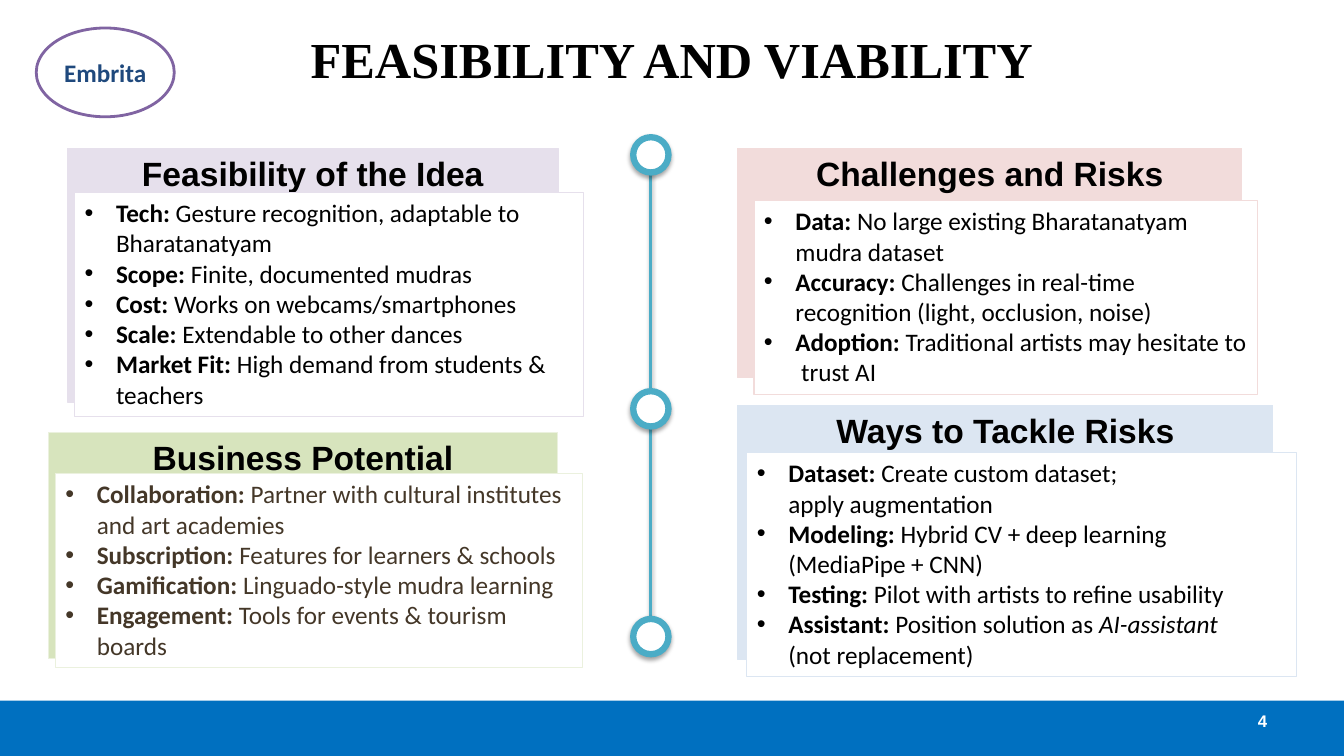
import pptx
import pptx.dml.color
import pptx.enum.shapes
import pptx.enum.text
import pptx.oxml
import pptx.oxml.ns
import pptx.util

Pt = pptx.util.Pt
Align = pptx.enum.text.PP_ALIGN
Anchor = pptx.enum.text.MSO_ANCHOR
Kind = pptx.enum.shapes.MSO_SHAPE

PANELS = [
    ("Business Potential", "D7E4BD", "EBF1DE", "443728",
     (34.6, 308.9, 363.6, 161.3), (39.6, 338.4, 376.6, 138.2), [
         ["Collaboration: ", "Partner with cultural institutes and art academies"],
         ["Subscription: ", "Features for learners & schools"],
         ["Gamification: ", "Linguado-style mudra learning"],
         ["Engagement: ", "Tools for events & tourism boards"]]),
    ("Ways to Tackle Risks", "DCE6F2", "DCE6F2", "000000",
     (527, 289.4, 382.3, 181.4), (533.5, 323.3, 392.4, 159.8), [
         ["Dataset: ", "Create custom dataset;\napply augmentation"],
         ["Modeling: ", "Hybrid CV + deep learning\n(MediaPipe + CNN)"],
         ["Testing: ", "Pilot with artists to refine usability"],
         ["Assistant: ", "Position solution as ", "AI-assistant", "\n(not replacement)"]]),
    ("Challenges and Risks", "F2DCDB", "F2DCDB", "000000",
     (527, 105.8, 360, 164.2), (538.6, 143.3, 360, 138.2), [
         ["Data: ", "No large existing Bharatanatyam mudra dataset"],
         ["Accuracy: ", "Challenges in real-time recognition (light, occlusion, noise)"],
         ["Adoption: ", "Traditional artists may hesitate to\n trust AI"]]),
    ("Feasibility of the Idea", "E6E0EC", "E6E0EC", "000000",
     (48.2, 105.8, 350.6, 181.4), (53.3, 137.5, 363.6, 159.8), [
         ["Tech: ", "Gesture recognition, adaptable to Bharatanatyam"],
         ["Scope: ", "Finite, documented mudras"],
         ["Cost: ", "Works on webcams/smartphones"],
         ["Scale: ", "Extendable to other dances"],
         ["Market Fit: ", "High demand from students & teachers"]]),
]


def tint(code):
    return pptx.dml.color.RGBColor.from_string(code)


def node(text):
    head, tail = text.split(" ", 1) if " " in text else (text, "")
    return pptx.oxml.parse_xml(f"<a:{head} {pptx.oxml.ns.nsdecls('a')} {tail}/>")


def write(par, text, size=18, font="Calibri", color="000000", bold=False, slant=False):
    for i, line in enumerate(text.split("\n")):
        if i:
            par.add_line_break()
        if line:
            run = par.add_run()
            run.text = line
            run.font.size, run.font.name = Pt(size), font
            run.font.bold, run.font.italic = bold, slant
            run.font.color.rgb = tint(color)


class Deck:
    blue, teal, white = "0070C0", "4BACC6", "FFFFFF"

    def __init__(self):
        self.show = pptx.Presentation()
        self.show.slide_width, self.show.slide_height = Pt(960), Pt(540)
        self.slide = self.show.slides.add_slide(self.show.slide_layouts[5])

    def shade(self, item, color, alpha, blur, dist):
        glow = node("effectLst")
        cast = node(f'outerShdw blurRad="{Pt(blur)}" dist="{Pt(dist)}" '
                    'dir="5400000" rotWithShape="0"')
        hue = node(f'srgbClr val="{color}"')
        hue.append(node(f'alpha val="{alpha * 1000}"'))
        cast.append(hue)
        glow.append(cast)
        props = item._element.spPr
        for old in props.findall(pptx.oxml.ns.qn("a:effectLst")):
            props.remove(old)
        props.append(glow)

    def shape(self, kind, box, fill, line=None, width=0.75, shade=None):
        item = self.slide.shapes.add_shape(kind, *map(Pt, box))
        item.fill.solid()
        item.fill.fore_color.rgb = tint(fill)
        if line:
            item.line.color.rgb = tint(line)
            item.line.width = Pt(width)
        else:
            item.line.fill.background()
        item.shadow.inherit = False
        if shade:
            self.shade(item, *shade)
        return item

    def label(self, item, text, anchor=Anchor.MIDDLE, align=Align.CENTER,
              wrap=True, **style):
        frame = item.text_frame
        frame.word_wrap = wrap
        frame.vertical_anchor = anchor
        frame.paragraphs[0].alignment = align
        write(frame.paragraphs[0], text, **style)

    def title(self, box, text):
        item = self.slide.shapes.title
        item.left, item.top, item.width, item.height = map(Pt, box)
        self.label(item, text, size=36, font="Times New Roman", bold=True)

    def note(self, box, text, **style):
        self.label(self.slide.shapes.add_textbox(*map(Pt, box)), text, **style)

    def badge(self, box, text):
        item = self.shape(Kind.OVAL, box, self.white, "8064A2", 2)
        self.label(item, text, wrap=False, color="1F497D", bold=True)

    def head(self, box, text, fill, line):
        item = self.shape(Kind.RECTANGLE, box, fill, line)
        self.label(item, text, Anchor.TOP, size=24, font="Arial", bold=True)

    def card(self, box, rows, line, color):
        frame = self.shape(Kind.RECTANGLE, box, self.white, line).text_frame
        frame.word_wrap = True
        frame.vertical_anchor = Anchor.TOP
        for i, row in enumerate(rows):
            par = frame.add_paragraph() if i else frame.paragraphs[0]
            par.alignment = Align.LEFT
            props = par._p.get_or_add_pPr()
            props.set("marL", str(Pt(22.5)))
            props.set("indent", str(-Pt(22.5)))
            props.append(node('buFont typeface="Arial"'))
            props.append(node('buChar char="•"'))
            for j, part in enumerate(row):
                write(par, part, color=color, bold=j == 0, slant=j == 2)

    def line(self, x, top, end):
        item = self.slide.shapes.add_connector(
            pptx.enum.shapes.MSO_CONNECTOR.STRAIGHT, Pt(x), Pt(top), Pt(x), Pt(end))
        item.line.color.rgb = tint(self.teal)
        item.line.width = Pt(2)
        self.shade(item, "000000", 38, 3.1, 1.6)

    def dot(self, x, y, size):
        self.shape(Kind.OVAL, (x - size / 2, y, size, size), self.white,
                   self.teal, 4.5, ("000000", 35, 3.1, 1.8))


def main():
    deck = Deck()
    deck.title((48, -3.6, 864, 90), "FEASIBILITY AND VIABILITY")
    for name, fill, edge, ink, back, front, rows in PANELS:
        deck.head(back, name, fill, edge)
    deck.shape(Kind.RECTANGLE, (0, 500.4, 960, 39.6), deck.blue,
               shade=("808080", 35, 0, 1.8))
    deck.note((688.3, 500.4, 224, 28.8), "4", align=Align.RIGHT,
              size=12, font="Arial", color=deck.white, bold=True)
    deck.badge((25.9, 20, 98.6, 63.4), "Embrita")
    for name, fill, edge, ink, back, front, rows in PANELS:
        deck.card(front, rows, edge, ink)
    deck.line(464.9, 105.8, 465.1)
    for y in (98, 279.4, 442.1):
        deck.dot(464.9, y, 25.2)
    deck.show.save("out.pptx")


if __name__ == "__main__":
    main()
